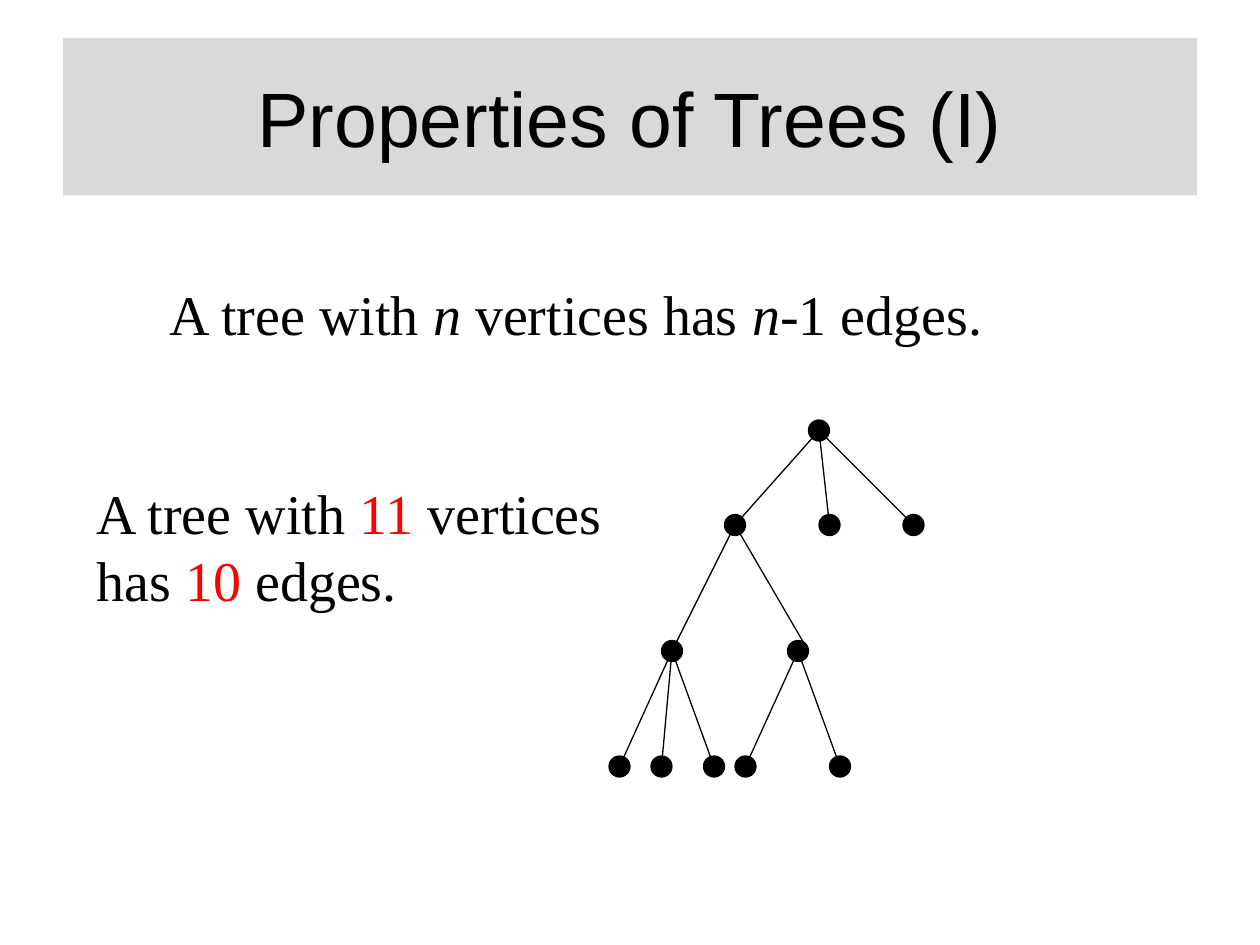
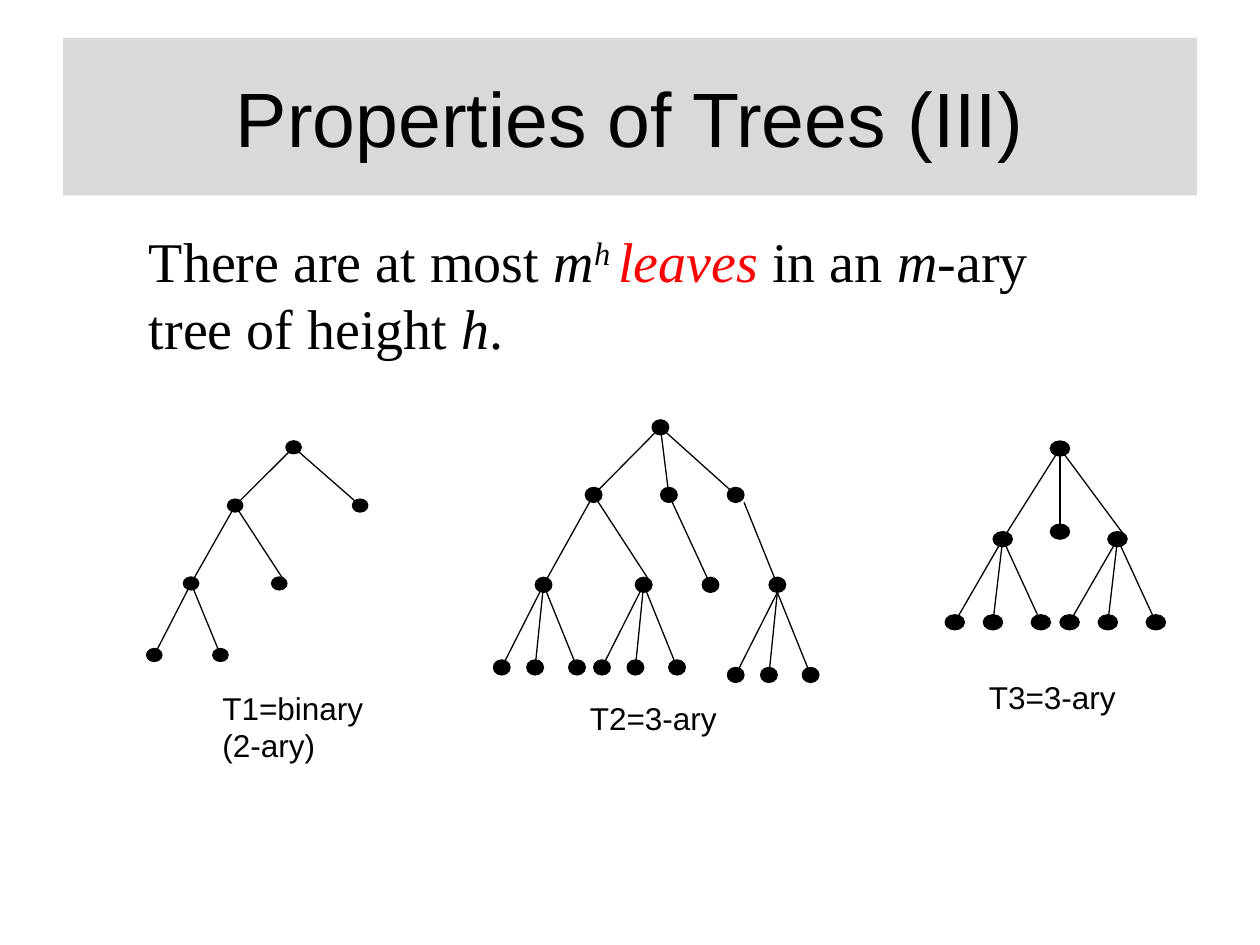
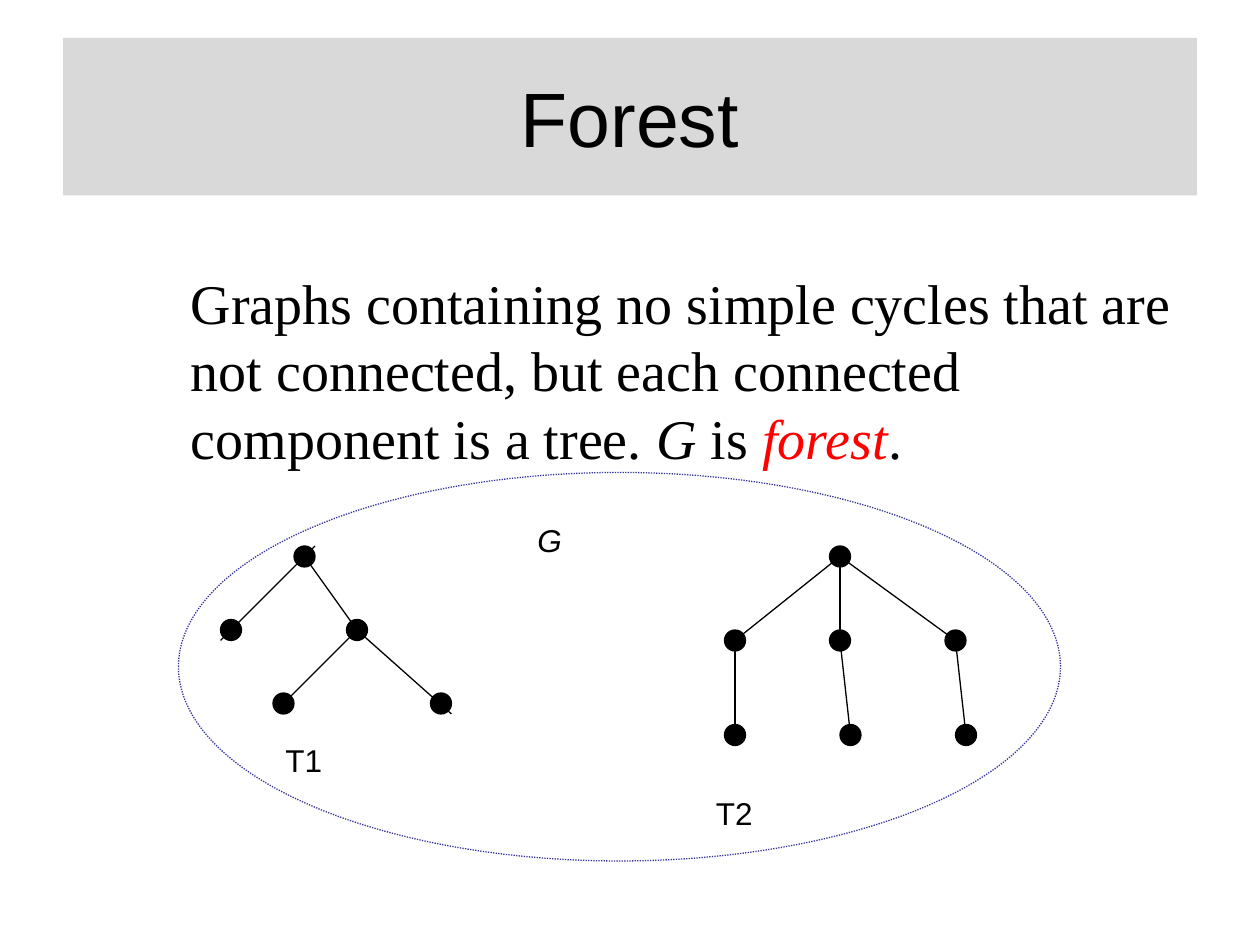
from lxml.etree import SubElement
from pptx import Presentation
from pptx.dml.color import RGBColor
from pptx.enum.dml import MSO_LINE
from pptx.enum.shapes import MSO_CONNECTOR, MSO_SHAPE
from pptx.enum.text import MSO_ANCHOR, MSO_AUTO_SIZE, PP_ALIGN
from pptx.oxml.ns import qn
from pptx.util import Pt

BLACK, RED, GREY, BLUE = "000000", "FF0000", "D9D9D9", "333399"
TITLE_BAND = (36, 21.6, 648, 90)
TITLE_ONLY_LAYOUT = 5
LINE_WIDTH = 0.75
STATEMENT = {"font": "Times New Roman", "size": 32}
LABEL = {"font": "Arial", "size": 18}

# Nodes: name -> (centre x, centre y, parent).
# Shifts: child name -> offsets of its edge from the parent and child centres.
ELEVEN_VERTICES = {
    "node": (12, 12),
    "nodes": {
        "root": (468, 246, None),
        "a": (420, 300, "root"), "b": (474, 300, "root"), "c": (522, 300, "root"),
        "d": (384, 372, "a"), "e": (456, 372, "a"),
        "d1": (354, 438, "d"), "d2": (378, 438, "d"), "d3": (408, 438, "d"),
        "e1": (426, 438, "e"), "e2": (480, 438, "e"),
    },
    "shifts": {"e": ((0, 0), (6, 0))},
}
BINARY = {
    "node": (8.8, 7.4),
    "nodes": {
        "root": (167.8, 255.6, None),
        "a": (134.4, 288.9, "root"), "b": (205.8, 288.9, "root"),
        "c": (109.2, 333.4, "a"), "d": (159.6, 333.4, "a"),
        "c1": (88.2, 374.3, "c"), "c2": (126, 374.3, "c"),
    },
    "shifts": {"d": ((0, 0), (3.8, 0))},
}
TERNARY = {
    "node": (9.5, 8.6),
    "nodes": {
        "root": (377.4, 244.2, None),
        "a": (339.2, 282.8, "root"), "b": (382.2, 282.8, "root"),
        "c": (420.4, 282.8, "root"),
        "d": (310.6, 334.2, "a"), "e": (367.8, 334.2, "a"),
        "f": (406, 334.2, "b"), "g": (444.2, 334.2, "c"),
        "d1": (286.7, 381.4, "d"), "d2": (305.8, 381.4, "d"), "d3": (329.7, 381.4, "d"),
        "e1": (344, 381.4, "e"), "e2": (363.1, 381.4, "e"), "e3": (386.9, 381.4, "e"),
        "g1": (420.4, 385.7, "g"), "g2": (439.4, 385.7, "g"), "g3": (463.2, 385.7, "g"),
    },
    "shifts": {
        "e": ((0, 0), (4.8, 0)),
        "g": ((4.8, 4.3), (0, 0)),
        "g1": ((0, 4.3), (0, 0)),
        "g2": ((0, 4.3), (0, 0)),
        "g3": ((0, 4.3), (0, 0)),
    },
}
FULL_TERNARY = {
    "node": (11, 8.6),
    "nodes": {
        "root": (605.7, 256.3, None),
        "a": (573, 308.1, "root"), "b": (605.7, 303.8, "root"),
        "c": (638.6, 308.1, "root"),
        "a1": (545.6, 355.6, "a"), "a2": (567.4, 355.6, "a"), "a3": (594.8, 355.6, "a"),
        "c1": (611.2, 355.6, "c"), "c2": (633.1, 355.6, "c"), "c3": (660.5, 355.6, "c"),
    },
    "shifts": {"b": ((0, 4.3), (0, 4.3)), "c": ((0, 0), (5.5, 0))},
}
FOREST_LEFT = {
    "node": (12, 12),
    "nodes": {
        "root": (174, 318, None),
        "a": (132, 360, "root"), "b": (204, 360, "root"),
        "b1": (162, 402, "b"), "b2": (252, 402, "b"),
    },
    "shifts": {"a": ((6, -6), (-6, 6)), "b2": ((0, 0), (6, 6))},
}
FOREST_RIGHT = {
    "node": (12, 12),
    "nodes": {
        "root": (480, 318, None),
        "a": (420, 366, "root"), "b": (480, 366, "root"), "c": (546, 366, "root"),
        "a1": (420, 420, "a"), "b1": (486, 420, "b"), "c1": (552, 420, "c"),
    },
    "shifts": {},
}

# Texts: (style, box, runs); a run is its text followed by its traits.
SLIDES = [
    {
        "title": "Properties of Trees (I)",
        "texts": [
            (STATEMENT, (90, 156, 588, 45.6), [
                ("A tree with ",), ("n ", "italic"), ("vertices has ",),
                ("n", "italic"), ("-1 edges.",)]),
            (STATEMENT, (48, 270, 348, 85), [
                ("A tree with ",), ("11 ", "red"), ("vertices has ",),
                ("10 ", "red"), ("edges.",)]),
        ],
        "trees": [ELEVEN_VERTICES],
    },
    {
        "title": "Properties of Trees (III)",
        "texts": [
            (STATEMENT, (78, 126, 564, 84), [
                ("There are at most ",), ("m", "italic"),
                ("h ", "italic", "superscript"), ("leaves", "italic", "red"),
                (" in an ",), ("m", "italic"), ("-ary tree of height ",),
                ("h", "italic"), (".",)]),
            (LABEL, (120, 390, 102, 51), [("T1=binary (2-ary)",)]),
            (LABEL, (330, 396, 102, 30), [("T2=3-ary",)]),
            (LABEL, (558, 384, 102, 30), [("T3=3-ary",)]),
        ],
        "trees": [BINARY, TERNARY, FULL_TERNARY],
    },
    {
        "title": "Forest",
        "texts": [
            (STATEMENT, (102, 150, 588, 124), [
                ("Graphs containing no simple cycles that are not connected, "
                 "but each connected component is a tree. ",),
                ("G", "italic"), (" is ",), ("forest", "italic", "red"), (".",)]),
            (LABEL, (156, 420, 102, 30), [("T1",)]),
            (LABEL, (402, 450, 102, 30), [("T2",)]),
            (LABEL, (300, 294, 102, 30), [("G", "italic")]),
        ],
        "trees": [FOREST_LEFT, FOREST_RIGHT],
        "outline": (102, 270, 504, 222),
    },
]


def color(value):
    return RGBColor.from_string(value)


def points(values):
    return [Pt(value) for value in values]


def add_run(paragraph, text, font, size, traits=()):
    run = paragraph.add_run()
    run.text = text
    run.font.name = font
    run.font.size = Pt(size)
    run.font.italic = "italic" in traits
    run.font.color.rgb = color(RED if "red" in traits else BLACK)
    if "superscript" in traits:
        run.font._element.set("baseline", "30000")


def format_title(title, text):
    title.left, title.top, title.width, title.height = points(TITLE_BAND)
    title.fill.solid()
    title.fill.fore_color.rgb = color(GREY)
    title.text_frame.vertical_anchor = MSO_ANCHOR.MIDDLE
    paragraph = title.text_frame.paragraphs[0]
    paragraph.alignment = PP_ALIGN.CENTER
    add_run(paragraph, text, "Arial", 44)


def add_text(slide, style, box, runs):
    frame = slide.shapes.add_textbox(*points(box)).text_frame
    frame.word_wrap = True
    frame.auto_size = MSO_AUTO_SIZE.SHAPE_TO_FIT_TEXT
    for text, *traits in runs:
        add_run(frame.paragraphs[0], text, style["font"], style["size"], traits)


def add_ellipse(shapes, box, line_color):
    ellipse = shapes.add_shape(MSO_SHAPE.OVAL, *points(box))
    ellipse.shadow.inherit = False
    ellipse.line.color.rgb = color(line_color)
    ellipse.line.width = Pt(LINE_WIDTH)
    return ellipse


def add_edge(shapes, start, end):
    edge = shapes.add_connector(MSO_CONNECTOR.STRAIGHT, *points(start + end))
    edge.line.color.rgb = color(BLACK)
    edge.line.width = Pt(LINE_WIDTH)
    SubElement(edge._element.spPr, qn("a:effectLst"))


def add_tree(slide, tree):
    shapes = slide.shapes.add_group_shape().shapes
    nodes = tree["nodes"]
    width, height = tree["node"]
    for name, (x, y, parent) in nodes.items():
        if parent:
            parent_x, parent_y, _ = nodes[parent]
            (start_dx, start_dy), (end_dx, end_dy) = tree["shifts"].get(
                name, ((0, 0), (0, 0)))
            add_edge(shapes, (parent_x + start_dx, parent_y + start_dy),
                     (x + end_dx, y + end_dy))
        node = add_ellipse(shapes, (x - width / 2, y - height / 2, width, height), BLACK)
        node.fill.solid()
        node.fill.fore_color.rgb = color(BLACK)


def add_outline(slide, box):
    outline = add_ellipse(slide.shapes, box, BLUE)
    outline.fill.background()
    outline.line.dash_style = MSO_LINE.ROUND_DOT


def main():
    presentation = Presentation()
    presentation.slide_width, presentation.slide_height = Pt(720), Pt(540)
    layout = presentation.slide_layouts[TITLE_ONLY_LAYOUT]
    for content in SLIDES:
        slide = presentation.slides.add_slide(layout)
        format_title(slide.shapes.title, content["title"])
        for tree in content["trees"]:
            add_tree(slide, tree)
        if "outline" in content:
            add_outline(slide, content["outline"])
        for style, box, runs in content["texts"]:
            add_text(slide, style, box, runs)
    presentation.save("out.pptx")


if __name__ == "__main__":
    main()
